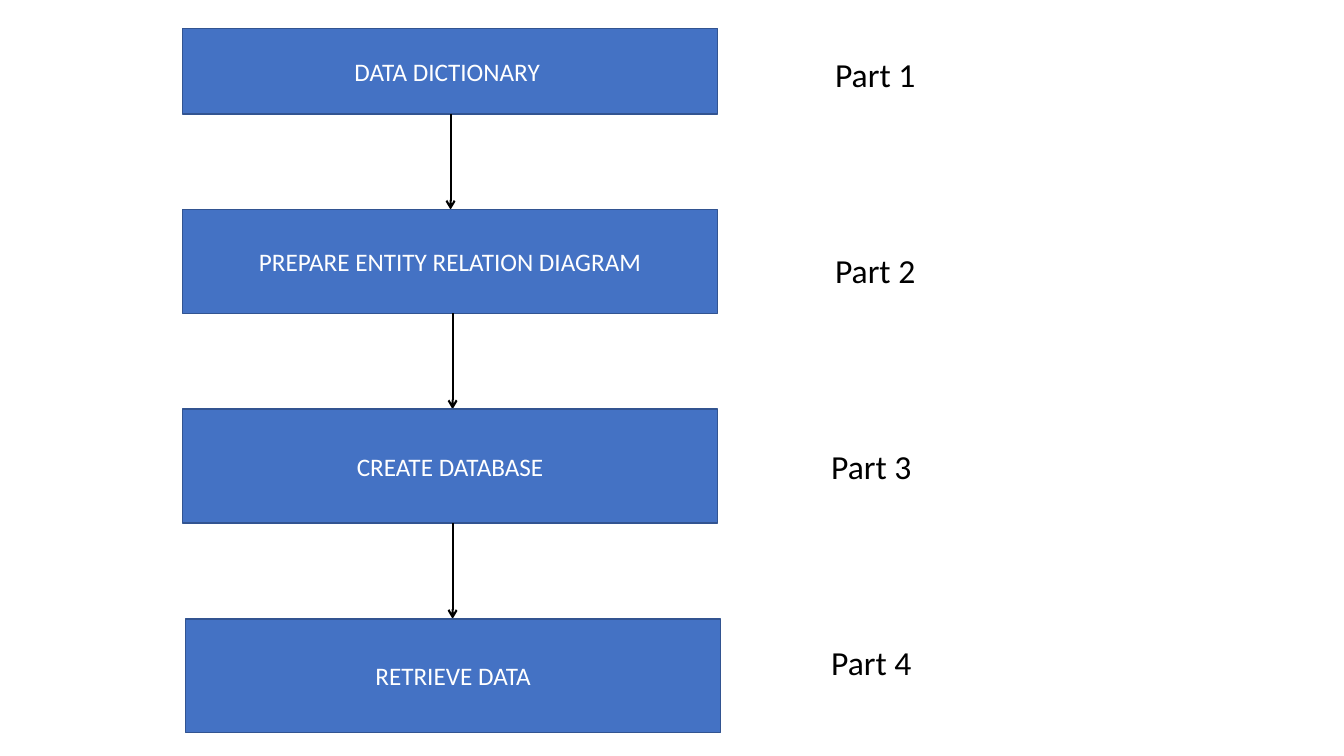
from dataclasses import dataclass

from lxml import etree
from pptx import Presentation
from pptx.dml.color import RGBColor
from pptx.enum.shapes import MSO_CONNECTOR, MSO_SHAPE
from pptx.enum.text import MSO_ANCHOR, MSO_AUTO_SIZE, PP_ALIGN
from pptx.oxml.ns import qn
from pptx.slide import Slide
from pptx.text.text import TextFrame
from pptx.util import Emu, Inches, Pt

RECTANGLE = MSO_SHAPE.RECTANGLE
STRAIGHT = MSO_CONNECTOR.STRAIGHT
MIDDLE = MSO_ANCHOR.MIDDLE
CENTER = PP_ALIGN.CENTER
FIT_SHAPE = MSO_AUTO_SIZE.SHAPE_TO_FIT_TEXT

BLUE = RGBColor(0x44, 0x72, 0xC4)
DARK_BLUE = RGBColor(0x32, 0x54, 0x91)
WHITE = RGBColor(0xFF, 0xFF, 0xFF)
BLACK = RGBColor(0x00, 0x00, 0x00)
FONT = "Calibri"

# Grid: ten columns and ten rows to the inch
GRID_COLUMNS, GRID_ROWS = 133.33, 75
CELL = Inches(0.1)
FIRST_BOX_ROW = 2.8
BOX_COLUMNS = 53.1
GAP_ROWS = 9.5
FIRST_LABEL_ROW = 4.9
LABEL_PITCH = 19.43
LABEL_CENTER = 86.45
LABEL_ROWS = 5


@dataclass(frozen=True)
class Step:
    title: str
    label: str
    rows: float
    column: float = 18.1
    arrow_column: float = 44.9
    label_columns: float = 66.7
    label_wraps: bool = True


STEPS = (
    Step("DATA DICTIONARY ", " Part 1", 8.5, arrow_column=44.7,
         label_columns=10.8, label_wraps=False),
    Step("PREPARE ENTITY RELATION DIAGRAM", " Part 2", 10.3),
    Step("CREATE DATABASE", "Part 3", 11.3),
    Step("RETRIEVE DATA", "Part 4", 11.3, column=18.4),
)


def cells(count: float) -> Emu:
    return Emu(round(count * CELL))


def write(frame: TextFrame, text: str, size: int, color: RGBColor) -> None:
    frame.text = text
    para = frame.paragraphs[0]
    para.alignment = CENTER
    for span in para.runs:
        span.font.name = FONT
        span.font.size = Pt(size)
        span.font.color.rgb = color


def draw_box(page: Slide, step: Step, row: float) -> None:
    box = page.shapes.add_shape(RECTANGLE, cells(step.column), cells(row),
                                cells(BOX_COLUMNS), cells(step.rows))
    box.shadow.inherit = False
    box.fill.solid()
    box.fill.fore_color.rgb = BLUE
    box.line.color.rgb = DARK_BLUE
    box.line.width = Pt(1)
    box.text_frame.word_wrap = True
    box.text_frame.vertical_anchor = MIDDLE
    write(box.text_frame, step.title, 18, WHITE)


def draw_label(page: Slide, step: Step, row: float) -> None:
    left = LABEL_CENTER - step.label_columns / 2
    label = page.shapes.add_textbox(cells(left), cells(row),
                                    cells(step.label_columns), cells(LABEL_ROWS))
    label.text_frame.word_wrap = step.label_wraps
    label.text_frame.auto_size = FIT_SHAPE
    write(label.text_frame, step.label, 24, BLACK)


def draw_arrow(page: Slide, column: float, row: float) -> None:
    arrow = page.shapes.add_connector(STRAIGHT, cells(column), cells(row),
                                      cells(column), cells(row + GAP_ROWS))
    arrow.line.color.rgb = BLACK
    arrow.line.width = Pt(1.5)
    properties = arrow.element.spPr
    etree.SubElement(properties.find(qn("a:ln")), qn("a:tailEnd"), type="arrow")
    etree.SubElement(properties, qn("a:effectLst"))


def main() -> None:
    deck = Presentation()
    deck.slide_width = cells(GRID_COLUMNS)
    deck.slide_height = cells(GRID_ROWS)
    page = deck.slides.add_slide(deck.slide_layouts[6])

    # Steps run downwards, with an arrow in every gap
    row = FIRST_BOX_ROW
    for index, step in enumerate(STEPS):
        draw_box(page, step, row)
        draw_label(page, step, FIRST_LABEL_ROW + index * LABEL_PITCH)
        row += step.rows
        if step is not STEPS[-1]:
            draw_arrow(page, step.arrow_column, row)
        row += GAP_ROWS

    deck.save("out.pptx")


if __name__ == "__main__":
    main()
